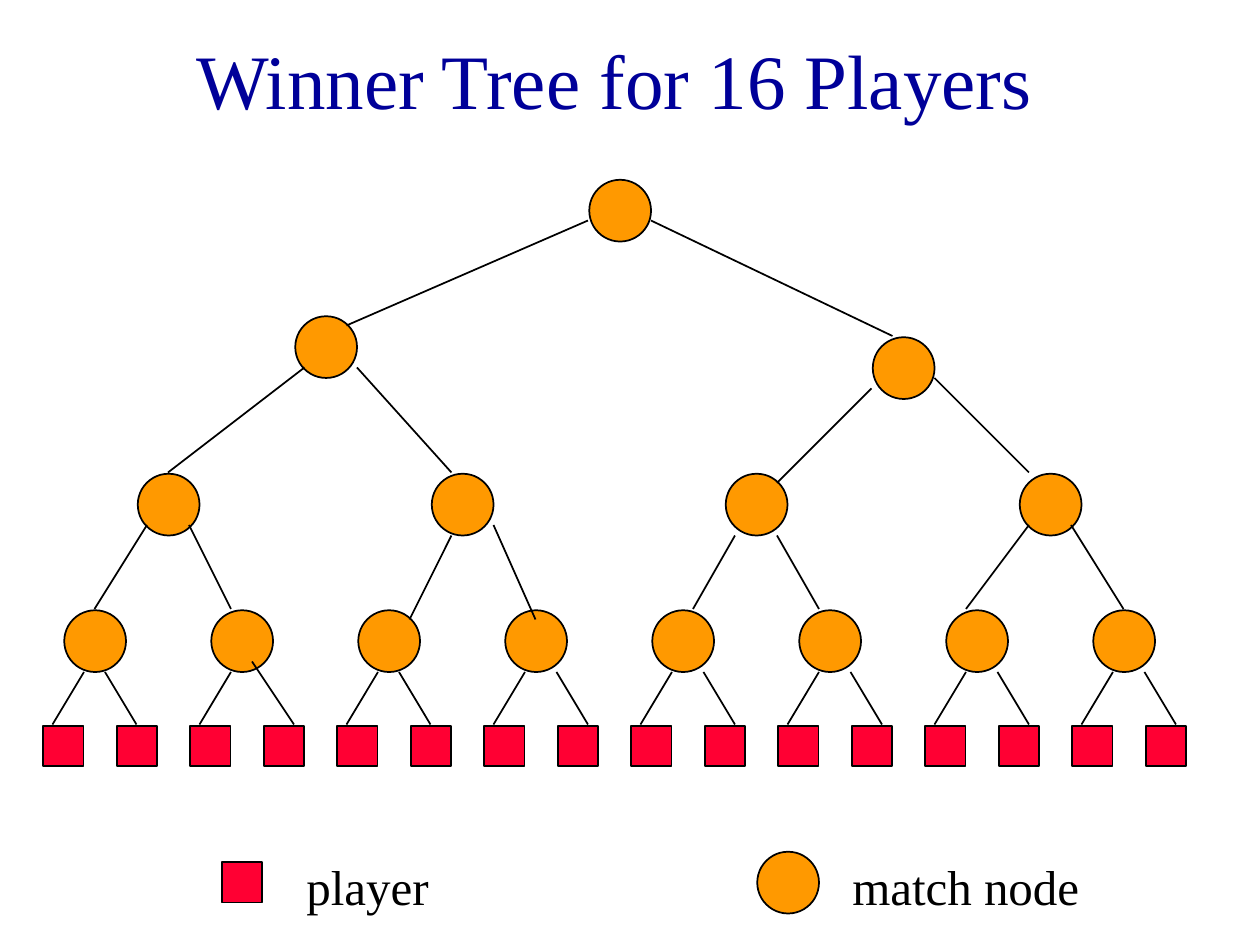
from lxml import etree
from pptx import Presentation
from pptx.dml.color import RGBColor
from pptx.enum.shapes import MSO_CONNECTOR, MSO_SHAPE
from pptx.enum.text import MSO_ANCHOR, MSO_AUTO_SIZE, PP_ALIGN
from pptx.oxml.ns import qn
from pptx.util import Inches, Pt

SQUARE, CIRCLE = MSO_SHAPE.RECTANGLE, MSO_SHAPE.OVAL
STRAIGHT = MSO_CONNECTOR.STRAIGHT
MIDDLE, CENTER = MSO_ANCHOR.MIDDLE, PP_ALIGN.CENTER

# Content; all positions are (column, row) on a grid of 12 units to the inch
UNITS_PER_INCH = 12
FONT = "Times New Roman"
TITLE = "Winner Tree for 16 Players"
PLAYER = {"kind": SQUARE, "size": 0.32, "color": "FF0033"}
MATCH = {"kind": CIRCLE, "size": 0.49, "color": "FF9900"}
INSET = 0.01  # shapes sit just inside their grid cell

PLAYERS = [(4 + 7 * i, 69) for i in range(16)]
MATCHES = (
    [(6 + 14 * i, 58) for i in range(8)]
    + [(13 + 28 * i, 45) for i in range(4)]
    + [(28, 30), (83, 32), (56, 17)]
)

# Branches: start column, start row, end column, end row
UPPER_BRANCHES = [
    (56, 21, 33, 31), (62, 21, 85, 32),
    (29, 35, 16, 45), (34, 35, 43, 45), (83, 37, 74, 46), (89, 36, 98, 45),
    (14, 50, 9, 58), (18, 50, 22, 58), (43, 51, 39, 59), (47, 50, 51, 59),
    (70, 51, 66, 58), (74, 51, 78, 58), (98, 50, 92, 58), (102, 50, 107, 58),
]
LEFT_LEAF_BRANCHES = [(8 + 14 * i, 64, 5 + 14 * i, 69) for i in range(8)]
RIGHT_STARTS = [(10, 64), (24, 63), (38, 64)] + [(11 + 14 * i, 64) for i in range(3, 8)]
RIGHT_ENDS = [13, 28, 41] + [14 + 14 * i for i in range(3, 8)]
RIGHT_LEAF_BRANCHES = [(*start, end, 69) for start, end in zip(RIGHT_STARTS, RIGHT_ENDS)]

# Legend: symbol, symbol position, label, label position, label width
LEGEND = [
    (PLAYER, (21, 82), "player", (28, 81), 27),
    (MATCH, (72, 81), "match node", (80, 81), 31),
]


def color(hex_string):
    return RGBColor.from_string(hex_string)


def grid(units):
    return Inches(units / UNITS_PER_INCH)


def add_run(paragraph, text, size, hex_string):
    run = paragraph.add_run()
    run.text = text
    run.font.name = FONT
    run.font.size = Pt(size)
    run.font.color.rgb = color(hex_string)


def set_line(line):
    line.color.rgb = color("000000")
    line.width = Pt(1)


def add_node(slide, style, position):
    left, top = (grid(units) + Inches(INSET) for units in position)
    size = Inches(style["size"])
    shape = slide.shapes.add_shape(style["kind"], left, top, size, size)
    shape.shadow.inherit = False
    shape.fill.solid()
    shape.fill.fore_color.rgb = color(style["color"])
    set_line(shape.line)


def add_branch(slide, branch):
    connector = slide.shapes.add_connector(STRAIGHT, *map(grid, branch))
    set_line(connector.line)
    etree.SubElement(connector._element.spPr, qn("a:effectLst"))


def add_label(slide, text, position, width):
    box = slide.shapes.add_textbox(*map(grid, position), grid(width), Inches(0.57))
    frame = box.text_frame
    frame.word_wrap = True
    frame.auto_size = MSO_AUTO_SIZE.SHAPE_TO_FIT_TEXT
    paragraph = frame.paragraphs[0]
    paragraph.space_before = Pt(17.5)
    add_run(paragraph, text, 28, "000000")


def main():
    presentation = Presentation()
    presentation.slide_width, presentation.slide_height = Inches(10), Inches(7.5)
    slide = presentation.slides.add_slide(presentation.slide_layouts[5])

    # Title
    title = slide.shapes.title
    title.left, title.top, title.width, title.height = 0, 0, Inches(9.75), Inches(1.25)
    title.text_frame.vertical_anchor = MIDDLE
    title.text_frame.paragraphs[0].alignment = CENTER
    add_run(title.text_frame.paragraphs[0], TITLE, 44, "000099")

    # Tree
    for style, positions in ((PLAYER, PLAYERS), (MATCH, MATCHES)):
        for position in positions:
            add_node(slide, style, position)
    for branch in UPPER_BRANCHES + LEFT_LEAF_BRANCHES + RIGHT_LEAF_BRANCHES:
        add_branch(slide, branch)

    # Legend
    for style, symbol_position, text, label_position, width in LEGEND:
        add_node(slide, style, symbol_position)
        add_label(slide, text, label_position, width)

    presentation.save("out.pptx")


if __name__ == "__main__":
    main()
